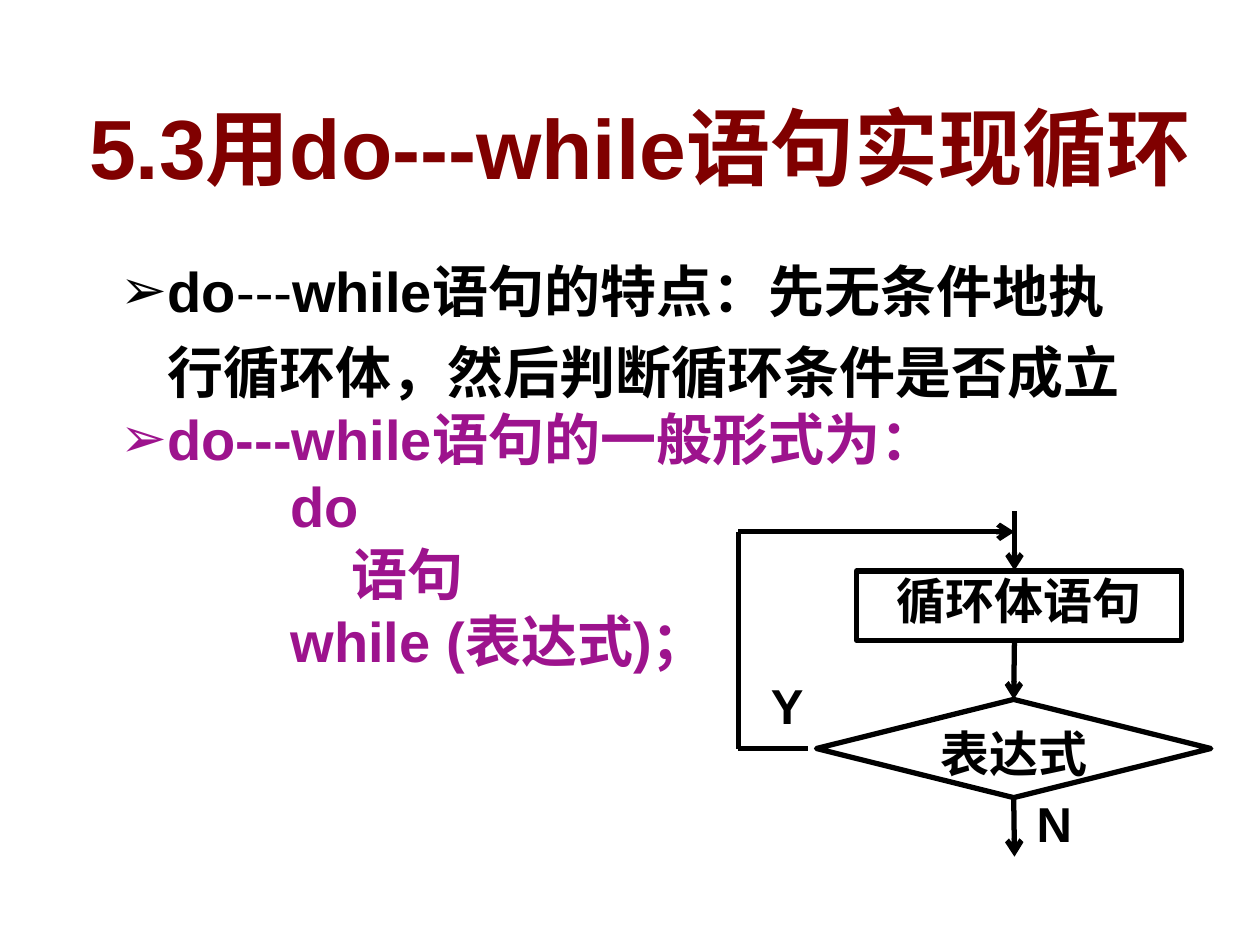
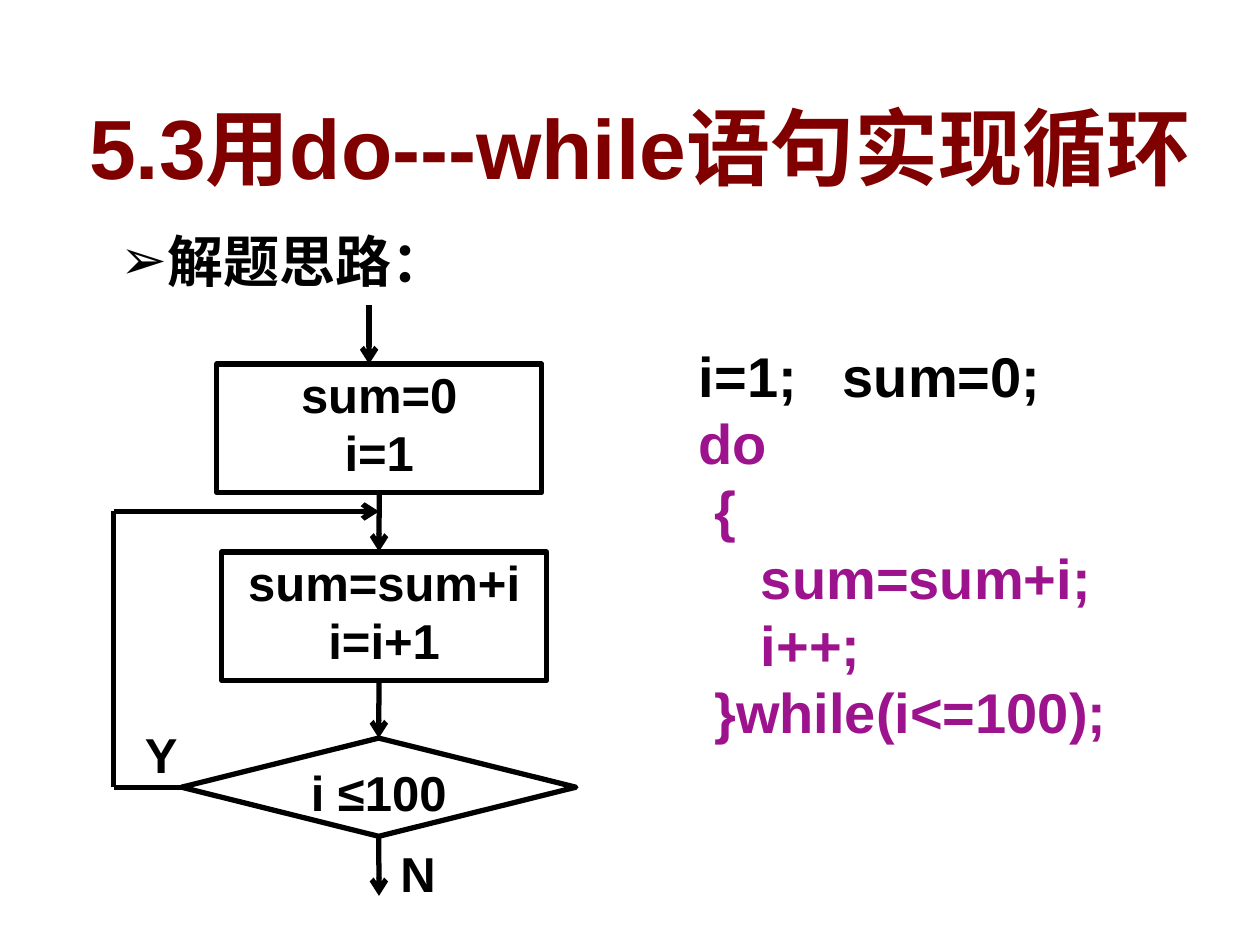
from dataclasses import dataclass

from lxml.etree import SubElement
from pptx import Presentation
from pptx.dml.color import RGBColor
from pptx.enum.shapes import MSO_CONNECTOR as Connector, MSO_SHAPE as Preset
from pptx.enum.text import MSO_ANCHOR as Anchor, PP_ALIGN as Align
from pptx.oxml.ns import qn
from pptx.util import Cm, Pt

TOP, LEFT, BOTTOM = 0, 1, 2


@dataclass(frozen=True)
class Theme:
    font: str = "Arial"
    title_color: str = "800000"
    ink: str = "000000"
    accent: str = "9D138D"
    paper: str = "FFFFFF"
    shadow: str = "C0C0C0"
    title_size: int = 48
    body_size: int = 32
    flow_size: int = 28
    line_width: int = 3


def rgb(value):
    return RGBColor.from_string(value)


def add_element(parent, tag, **attributes):
    return SubElement(parent, qn(tag), {key: str(value) for key, value in attributes.items()})


class Deck:
    def __init__(self, theme):
        self.theme = theme
        self.presentation = Presentation()
        self.presentation.slide_width = Cm(25.4)
        self.presentation.slide_height = Cm(19.05)
        self.slide = None

    def new_slide(self, title):
        self.slide = self.presentation.slides.add_slide(self.presentation.slide_layouts[6])
        frame = self.text_frame(1.19, 0.79, 23.42, 4.32)
        frame.vertical_anchor = Anchor.MIDDLE
        paragraph = self.add_text(frame, title, self.theme.title_size, self.theme.title_color)
        paragraph.alignment = Align.CENTER
        effects = add_element(paragraph.runs[0].font._element, "a:effectLst")
        shadow = add_element(effects, "a:outerShdw", dist=38100, dir=2700000, algn="tl")
        add_element(shadow, "a:srgbClr", val=self.theme.shadow)

    def text_frame(self, left, top, width, height):
        frame = self.slide.shapes.add_textbox(Cm(left), Cm(top), Cm(width), Cm(height)).text_frame
        frame.word_wrap = True
        return frame

    def next_paragraph(self, frame):
        return frame.add_paragraph() if frame.paragraphs[0].runs else frame.paragraphs[0]

    def set_font(self, paragraph, size, color, bold=True):
        font = paragraph.font
        font.name, font.size, font.bold = self.theme.font, Pt(size), bold
        font.color.rgb = rgb(color)

    def add_text(self, frame, text, size, color, indent=0, tab=None):
        paragraph = self.next_paragraph(frame)
        paragraph.add_run().text = text
        paragraph.line_spacing = 1.0
        properties = paragraph._p.get_or_add_pPr()
        properties.set("marL", str(Cm(indent)))
        if tab:
            tabs = add_element(properties, "a:tabLst")
            add_element(tabs, "a:tab", pos=Cm(tab), algn="l")
        self.set_font(paragraph, size, color)
        return paragraph

    def bullet(self, frame, parts, color, spacing=1.0):
        paragraph = self.next_paragraph(frame)
        paragraph.line_spacing = spacing
        properties = paragraph._p.get_or_add_pPr()
        properties.set("marL", str(Cm(0.95)))
        properties.set("indent", str(Cm(-0.95)))
        add_element(add_element(properties, "a:buClr"), "a:srgbClr", val=color)
        add_element(properties, "a:buFont", typeface=self.theme.font)
        add_element(properties, "a:buChar", char="➢")
        mixed = len({bold for _, bold in parts}) > 1
        self.set_font(paragraph, self.theme.body_size, color, None if mixed else parts[0][1])
        for text, bold in parts:
            run = paragraph.add_run()
            run.text = text
            if mixed:
                run.font.bold = bold

    def flow_shape(self, preset, left, top, width, height, lines):
        shape = self.slide.shapes.add_shape(preset, Cm(left), Cm(top), Cm(width), Cm(height))
        shape.shadow.inherit = False
        shape.fill.solid()
        shape.fill.fore_color.rgb = rgb(self.theme.paper)
        shape.line.color.rgb = rgb(self.theme.ink)
        shape.line.width = Pt(self.theme.line_width)
        frame = shape.text_frame
        frame.word_wrap = False
        frame.vertical_anchor = Anchor.TOP
        frame.margin_left = frame.margin_right = frame.margin_top = frame.margin_bottom = 0
        for line in lines:
            paragraph = self.add_text(frame, line, self.theme.flow_size, self.theme.ink)
            paragraph.alignment = Align.CENTER
        return shape

    def process(self, left, top, height, *lines):
        return self.flow_shape(Preset.FLOWCHART_PROCESS, left, top, 6.55, height, lines)

    def decision(self, left, top, text):
        return self.flow_shape(Preset.FLOWCHART_DECISION, left, top, 7.95, 1.98, [text])

    def branch_label(self, left, top, text):
        frame = self.text_frame(left, top, 1.4, 1.45)
        self.add_text(frame, text, self.theme.flow_size, self.theme.ink)

    def line(self, start, end, arrow=False, source=None, target=None):
        connector = self.slide.shapes.add_connector(Connector.STRAIGHT, *map(Cm, start + end))
        connector.line.color.rgb = rgb(self.theme.ink)
        connector.line.width = Pt(self.theme.line_width)
        if arrow:
            add_element(connector.line._get_or_add_ln(), "a:tailEnd", type="arrow")
        add_element(connector._element.spPr, "a:effectLst")
        if source:
            connector.begin_connect(*source)
        if target:
            connector.end_connect(*target)

    def flow_down(self, x, top, source=None, target=None):
        self.line((x, top), (x, top + 1.19), True, source, target)

    def loop_back(self, start, side_x, top, axis, source=None):
        lower, upper = (side_x, start[1]), (side_x, top)
        self.line(start, lower, source=source)
        self.line(lower, upper)
        self.line(upper, (axis, top), True)


def build_syntax_slide(deck, title):
    theme = deck.theme
    deck.new_slide(title)
    body = deck.text_frame(2.18, 4.78, 21.44, 9.93)
    deck.bullet(body, [("do", True), ("---", False),
                       ("while语句的特点：先无条件地执行循环体，然后判断循环条件是否成立", True)],
                theme.ink, 1.2)
    deck.bullet(body, [("do---while语句的一般形式为：", True)], theme.accent)
    for text, indent in (("do", 3.43), ("语句", 4.65), ("while (表达式)；", 3.43)):
        deck.add_text(body, text, theme.body_size, theme.accent, indent)

    axis = 20.45
    condition = deck.decision(16.46, 14.1, "表达式")
    deck.branch_label(15.29, 13.49, "Y")
    deck.branch_label(20.65, 15.88, "N")
    deck.process(17.27, 11.51, 1.4, "循环体语句")
    deck.flow_down(axis, 10.31)
    deck.flow_down(axis, 12.9, target=(condition, TOP))
    deck.flow_down(axis, 16.08, source=(condition, BOTTOM))
    deck.loop_back((16.28, 15.09), 14.88, 10.72, axis)


def build_sum_slide(deck, title):
    theme = deck.theme
    deck.new_slide(title)
    body = deck.text_frame(2.18, 4.17, 9.32, 2.39)
    deck.bullet(body, [("解题思路：", True)], theme.ink, 1.2)

    axis = 7.64
    condition = deck.decision(3.66, 14.88, "i ≤100")
    deck.branch_label(2.67, 14.48, "Y")
    deck.branch_label(7.82, 16.87, "N")
    deck.process(4.47, 11.13, 2.59, "sum=sum+i", "i=i+1")
    initial = deck.process(4.37, 7.34, 2.59, "sum=0", "i=1")
    deck.flow_down(7.44, 6.15)
    deck.flow_down(axis, 9.93, source=(initial, BOTTOM))
    deck.flow_down(axis, 13.7, target=(condition, TOP))
    deck.flow_down(axis, 16.87, source=(condition, BOTTOM))
    deck.loop_back((3.66, 15.87), 2.29, 10.31, axis, source=(condition, LEFT))

    code = deck.text_frame(12.9, 6.76, 11.13, 9.32)
    deck.add_text(code, "   i=1;\tsum=0;", theme.body_size, theme.ink, tab=3.84)
    for text in ("   do", "    {", "       sum=sum+i;", "       i++;", "    }while(i<=100);"):
        deck.add_text(code, text, theme.body_size, theme.accent)


def main():
    deck = Deck(Theme())
    title = "5.3用do---while语句实现循环"
    build_syntax_slide(deck, title)
    build_sum_slide(deck, title)
    deck.presentation.save("out.pptx")


if __name__ == "__main__":
    main()
